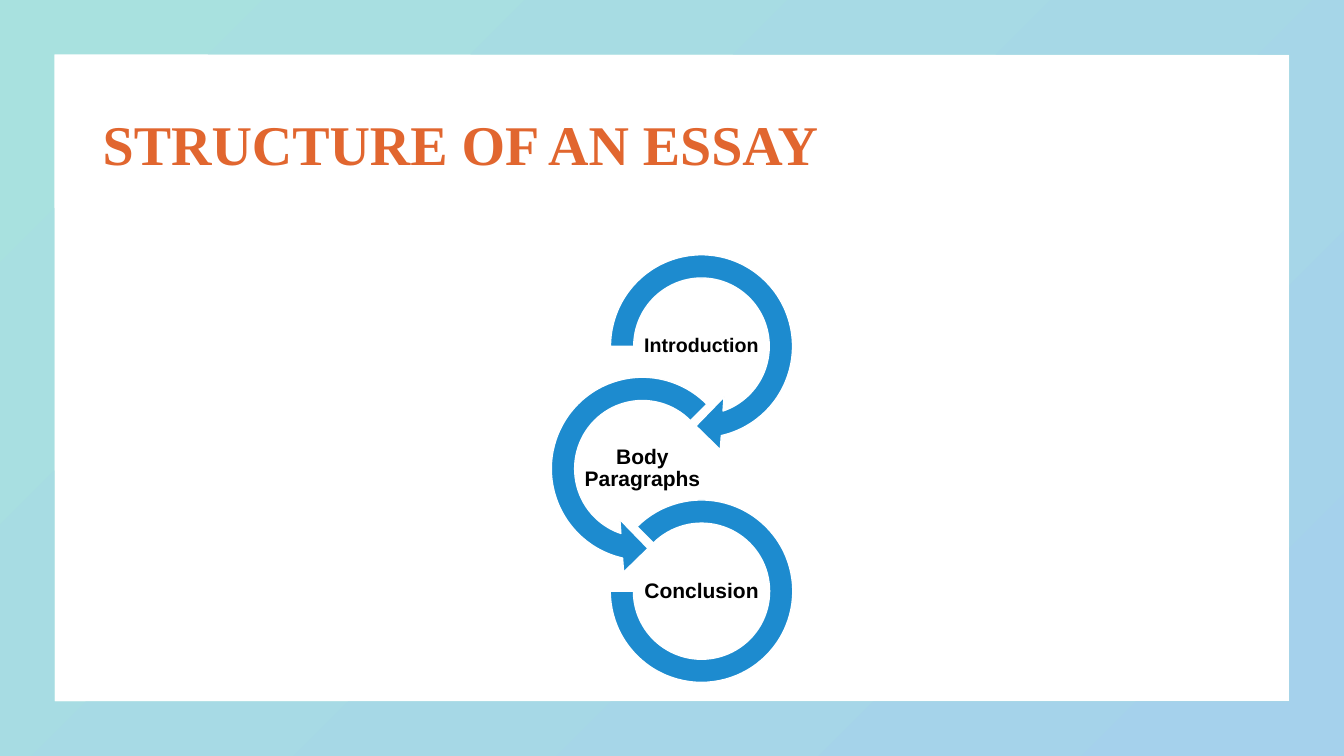
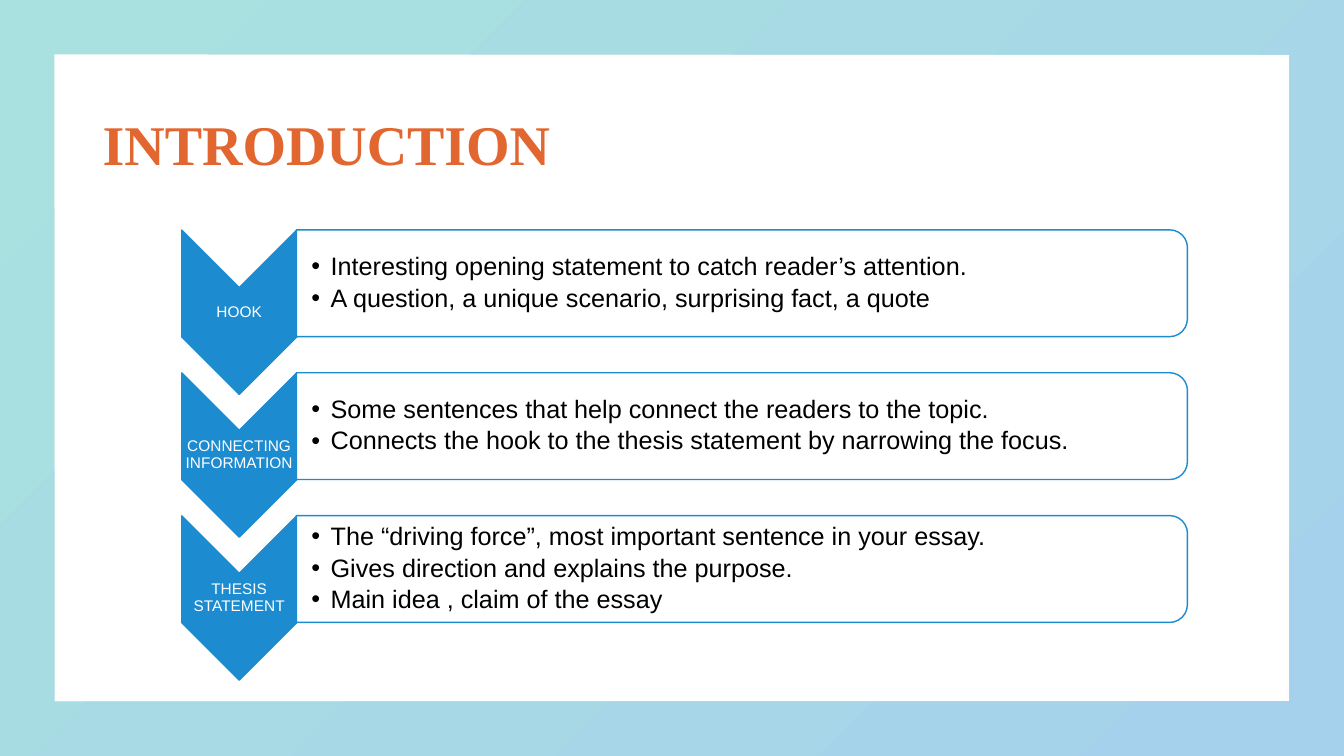
from dataclasses import dataclass
from typing import Optional

from lxml import etree
from pptx import Presentation
from pptx.dml.color import RGBColor
from pptx.enum.shapes import MSO_SHAPE
from pptx.enum.text import MSO_ANCHOR, MSO_AUTO_SIZE, PP_ALIGN
from pptx.oxml.ns import qn
from pptx.shapes.autoshape import Shape
from pptx.slide import Slide, SlideLayout
from pptx.text.text import _Paragraph as Paragraph
from pptx.util import Emu, Inches, Pt

# Colours, fonts and enum members
BLUE = RGBColor(0x1D, 0x8B, 0xCF)
ORANGE = RGBColor(0xE1, 0x66, 0x2F)
PALE_TEAL = RGBColor(0xA8, 0xE1, 0xDF)
PALE_BLUE = RGBColor(0xA5, 0xD1, 0xEC)
WHITE = RGBColor(0xFF, 0xFF, 0xFF)
BLACK = RGBColor(0x00, 0x00, 0x00)
TITLE_FONT, BODY_FONT = "Times New Roman", "Arial"
FRAME, CHEVRON = MSO_SHAPE.FRAME, MSO_SHAPE.CHEVRON
PANEL = MSO_SHAPE.ROUND_2_SAME_RECTANGLE
RIGHT_ARROW, LEFT_ARROW = MSO_SHAPE.CIRCULAR_ARROW, MSO_SHAPE.LEFT_CIRCULAR_ARROW
ARC = MSO_SHAPE.BLOCK_ARC
LEFT, CENTER = PP_ALIGN.LEFT, PP_ALIGN.CENTER
MIDDLE, NO_FIT = MSO_ANCHOR.MIDDLE, MSO_AUTO_SIZE.NONE

# Grid: 100 columns by 100 rows
SLIDE_WIDTH, SLIDE_HEIGHT = Inches(13.333), Inches(7.5)
COLUMN, ROW = SLIDE_WIDTH / 100, SLIDE_HEIGHT / 100
TEXT_INSET = Inches(0.01)
PANEL_INSET = Inches(0.14)
BULLET_INDENT = Inches(0.19)
LINE_SPACING = 0.9


@dataclass(frozen=True)
class Box:
    """A box by its centre and size, in columns and rows."""
    center_x: float
    center_y: float
    width: float
    height: float

    def bounds(self, turned: bool = False) -> tuple[Emu, Emu, Emu, Emu]:
        width, height = self.width * COLUMN, self.height * ROW
        if turned:
            width, height = height, width
        left = self.center_x * COLUMN - width / 2
        top = self.center_y * ROW - height / 2
        return Emu(int(left)), Emu(int(top)), Emu(int(width)), Emu(int(height))


@dataclass(frozen=True)
class TextStyle:
    size: float
    color: RGBColor
    font: str = BODY_FONT
    bold: bool = False
    align: PP_ALIGN = CENTER
    space_after: float = 0


@dataclass(frozen=True)
class Ring:
    label: str
    label_size: int
    kind: MSO_SHAPE
    center_x: float
    width: float
    height: float
    adjustments: tuple[float, ...]


@dataclass(frozen=True)
class Step:
    label: str
    points: tuple[str, ...]


TITLE_BOX = Box(50.02, 19.53, 86.25, 19.33)
TITLE_STYLE = TextStyle(40, ORANGE, TITLE_FONT, True, LEFT)
STEP_STYLE = TextStyle(11, WHITE, space_after=4)
POINT_STYLE = TextStyle(18, BLACK, align=LEFT, space_after=3)

RING_TOP, RING_PITCH = 45.8, 16.2
RINGS = (
    Ring("Introduction", 14, RIGHT_ARROW, 52.2, 15.75, 28.13,
         (0.11, 11.42, 45, 108, 0.125)),
    Ring("Body Paragraphs", 15, LEFT_ARROW, 47.8, 15.75, 28.13,
         (0.11, 11.42, 63, 189, 0.125)),
    Ring("Conclusion", 15, ARC, 52.2, 13.58, 24.13, (135, 108, 0.127)),
)

STEP_TOP, STEP_PITCH = 37.47, 18.9
CHEVRON_DROP = 3.83
STEPS = (
    Step("HOOK", (
        "Interesting opening statement to catch reader’s attention.",
        "A question, a unique scenario, surprising fact, a quote")),
    Step("CONNECTING INFORMATION", (
        "Some sentences that help connect the readers to the topic.",
        "Connects the hook to the thesis statement by narrowing the focus.")),
    Step("THESIS STATEMENT", (
        "The “driving force”, most important sentence in your essay.",
        "Gives direction and explains the purpose.",
        "Main idea , claim of the essay")),
)


# Shared drawing functions
def format_paragraph(para: Paragraph, style: TextStyle) -> None:
    para.alignment = style.align
    para.line_spacing = LINE_SPACING
    para.space_before = Pt(0)
    para.space_after = Pt(style.space_after)
    for span in para.runs:
        span.font.name = style.font
        span.font.size = Pt(style.size)
        span.font.bold = style.bold
        span.font.color.rgb = style.color


def add_bullet(para: Paragraph) -> None:
    para.level = 1
    properties = para._p.get_or_add_pPr()
    properties.set("marL", str(BULLET_INDENT))
    properties.set("indent", str(-BULLET_INDENT))
    etree.SubElement(properties, qn("a:buFont")).set("typeface", BODY_FONT)
    etree.SubElement(properties, qn("a:buChar")).set("char", "•")


def add_text(page: Slide, box: Box, text: str, style: TextStyle,
             bulleted: bool = False) -> None:
    frame = page.shapes.add_textbox(*box.bounds()).text_frame
    frame.word_wrap = True
    frame.vertical_anchor = MIDDLE
    frame.margin_left = PANEL_INSET if bulleted else TEXT_INSET
    frame.margin_top = frame.margin_right = frame.margin_bottom = TEXT_INSET
    frame.text = text
    for para in frame.paragraphs:
        format_paragraph(para, style)
        if bulleted:
            add_bullet(para)


def add_figure(page: Slide, kind: MSO_SHAPE, box: Box, fill: RGBColor,
               line: Optional[RGBColor] = None, turned: bool = False,
               adjustments: tuple[float, ...] = ()) -> Shape:
    figure = page.shapes.add_shape(kind, *box.bounds(turned))
    figure.shadow.inherit = False
    figure.rotation = 90 if turned else 0
    figure.fill.solid()
    figure.fill.fore_color.rgb = fill
    if line is None:
        figure.line.fill.background()
    else:
        figure.line.color.rgb = line
        figure.line.width = Pt(1)
    for index, value in enumerate(adjustments):
        figure.adjustments[index] = value
    return figure


def add_border(page: Slide, layout: SlideLayout) -> None:
    """Draw the gradient border and hand it to the layout all slides use."""
    border = add_figure(page, FRAME, Box(50, 50, 100, 100), PALE_TEAL,
                        adjustments=(0.072,))
    border.fill.gradient()
    border.fill.gradient_angle = 315
    for stop, color in zip(border.fill.gradient_stops, (PALE_TEAL, PALE_BLUE)):
        stop.color.rgb = color
    layout.shapes.element.insert(2, border.element)


def add_page(deck: Presentation, layout: SlideLayout, heading: str) -> Slide:
    page = deck.slides.add_slide(layout)
    title = page.shapes.title
    title.left, title.top, title.width, title.height = TITLE_BOX.bounds()
    frame = title.text_frame
    frame.text = heading
    frame.word_wrap = True
    frame.auto_size = NO_FIT
    frame.vertical_anchor = MIDDLE
    format_paragraph(frame.paragraphs[0], TITLE_STYLE)
    return page


# Parts of the two slides
def add_ring(page: Slide, ring: Ring, index: int) -> None:
    center_y = RING_TOP + index * RING_PITCH
    add_figure(page, ring.kind,
               Box(ring.center_x, center_y, ring.width, ring.height),
               BLUE, WHITE, adjustments=ring.adjustments)
    add_text(page, Box(ring.center_x, center_y, 8.78, 7.73), ring.label,
             TextStyle(ring.label_size, BLACK, bold=True, space_after=5))


def add_step(page: Slide, step: Step, index: int) -> None:
    panel_y = STEP_TOP + index * STEP_PITCH
    chevron_y = panel_y + CHEVRON_DROP
    add_figure(page, CHEVRON, Box(17.8, chevron_y, 8.55, 21.73),
               BLUE, BLUE, turned=True)
    add_text(page, Box(17.8, chevron_y, 8.55, 6.53), step.label, STEP_STYLE)
    add_figure(page, PANEL, Box(55.2, panel_y, 66.3, 14.13),
               WHITE, BLUE, turned=True)
    add_text(page, Box(55.05, panel_y, 65.85, 12.8), "\n".join(step.points),
             POINT_STYLE, bulleted=True)


def main() -> None:
    deck = Presentation()
    deck.slide_width, deck.slide_height = SLIDE_WIDTH, SLIDE_HEIGHT
    layout = deck.slide_layouts.get_by_name("Title Only")

    # Slide 1: three linked rings
    structure = add_page(deck, layout, "STRUCTURE OF AN ESSAY")
    add_border(structure, layout)
    for index, ring in enumerate(RINGS):
        add_ring(structure, ring, index)

    # Slide 2: three steps with their points
    introduction = add_page(deck, layout, "INTRODUCTION")
    for index, step in enumerate(STEPS):
        add_step(introduction, step, index)

    deck.save("out.pptx")


main()
